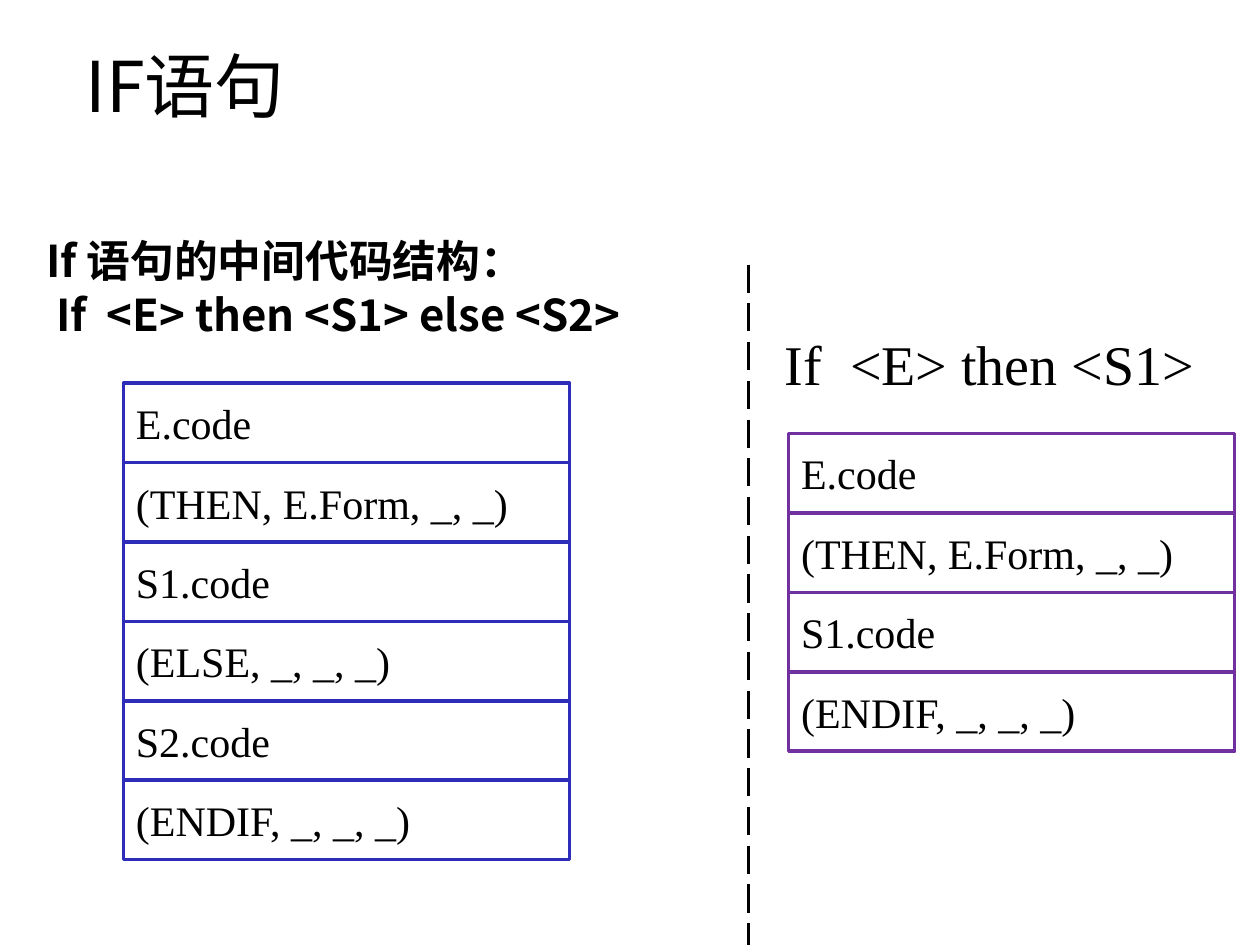
from lxml.etree import SubElement
from pptx import Presentation
from pptx.dml.color import RGBColor
from pptx.enum.dml import MSO_LINE
from pptx.enum.shapes import MSO_CONNECTOR as CONNECTOR, MSO_SHAPE as SHAPE
from pptx.enum.text import MSO_ANCHOR as ANCHOR, PP_ALIGN as ALIGN
from pptx.oxml.ns import qn
from pptx.util import Pt

SANS = "Noto Sans CJK KR"
SERIF = "Times New Roman"
BLACK = "000000"
BLUE = "2D2DB9"
PURPLE = "7030A0"
ROW_WIDTH, ROW_HEIGHT = 254.9, 45.4


def color(value):
    """Turn a hex string into a colour."""
    return RGBColor.from_string(value)


def add_span(para, text, font, size, bold=False):
    """Add one formatted run for Latin and East Asian text."""
    span = para.add_run()
    span.text = text
    span.font.size = Pt(size)
    span.font.bold = bold
    span.font.color.rgb = color(BLACK)
    span.font.name = font
    SubElement(span.font._element, qn("a:ea")).set("typeface", font)


def add_text(page, bounds, lines, font, size, bold=False, anchor=ANCHOR.TOP, spacing=1.0, gap=0):
    """Add a text box with one paragraph for each line."""
    frame = page.shapes.add_textbox(*map(Pt, bounds)).text_frame
    frame.word_wrap = True
    frame.vertical_anchor = anchor
    for index, line in enumerate(lines):
        para = frame.add_paragraph() if index else frame.paragraphs[0]
        para.line_spacing = spacing
        if index:
            para.space_before = Pt(gap)
        add_span(para, line, font, size, bold)


def add_code_stack(page, left, top, rows, outline):
    """Stack outlined code rows downwards from the given corner."""
    for index, text in enumerate(rows):
        row_top = top + index * ROW_HEIGHT
        row = page.shapes.add_shape(
            SHAPE.RECTANGLE, Pt(left), Pt(row_top), Pt(ROW_WIDTH), Pt(ROW_HEIGHT)
        )
        row.shadow.inherit = False
        row.fill.background()
        row.line.color.rgb = color(outline)
        row.line.width = Pt(2)
        frame = row.text_frame
        frame.word_wrap = True
        frame.vertical_anchor = ANCHOR.MIDDLE
        para = frame.paragraphs[0]
        para.alignment = ALIGN.LEFT
        add_span(para, text, SERIF, 24)


def add_divider(page, left, top, bottom):
    """Draw the dashed vertical divider."""
    divider = page.shapes.add_connector(
        CONNECTOR.STRAIGHT, Pt(left), Pt(top), Pt(left), Pt(bottom)
    )
    divider.line.color.rgb = color(BLACK)
    divider.line.width = Pt(2)
    divider.line.dash_style = MSO_LINE.LONG_DASH
    SubElement(divider._element.spPr, qn("a:effectLst"))


def add_if_else(page, left, top):
    """Place the if-else heading and its code structure."""
    lines = ["If 语句的中间代码结构：", " If  <E> then <S1> else <S2>"]
    add_text(page, (left, top, 420, 84), lines, SANS, 25, True, spacing=0.88, gap=4.2)
    rows = ["E.code", "(THEN, E.Form, _, _)", "S1.code", "(ELSE, _, _, _)", "S2.code", "(ENDIF, _, _, _)"]
    add_code_stack(page, left + 51.2, top + 85, rows, BLUE)


def add_if_then(page, left, top):
    """Place the if-then heading and its code structure."""
    add_text(page, (left, top, 272, 44), [" If  <E> then <S1>"], SERIF, 32)
    rows = ["E.code", "(THEN, E.Form, _, _)", "S1.code", "(ENDIF, _, _, _)"]
    add_code_stack(page, left + 17.3, top + 63.2, rows, PURPLE)


def main():
    """Build and save the slide."""
    deck = Presentation()
    deck.slide_width, deck.slide_height = Pt(720), Pt(540)
    page = deck.slides.add_slide(deck.slide_layouts[6])
    add_text(page, (41.8, 12.2, 611.3, 72), ["IF语句"], SANS, 40, anchor=ANCHOR.MIDDLE)
    add_if_else(page, 19.4, 133.9)
    add_divider(page, 427.7, 151.2, 540)
    add_if_then(page, 433.4, 184.5)
    deck.save("out.pptx")


if __name__ == "__main__":
    main()
